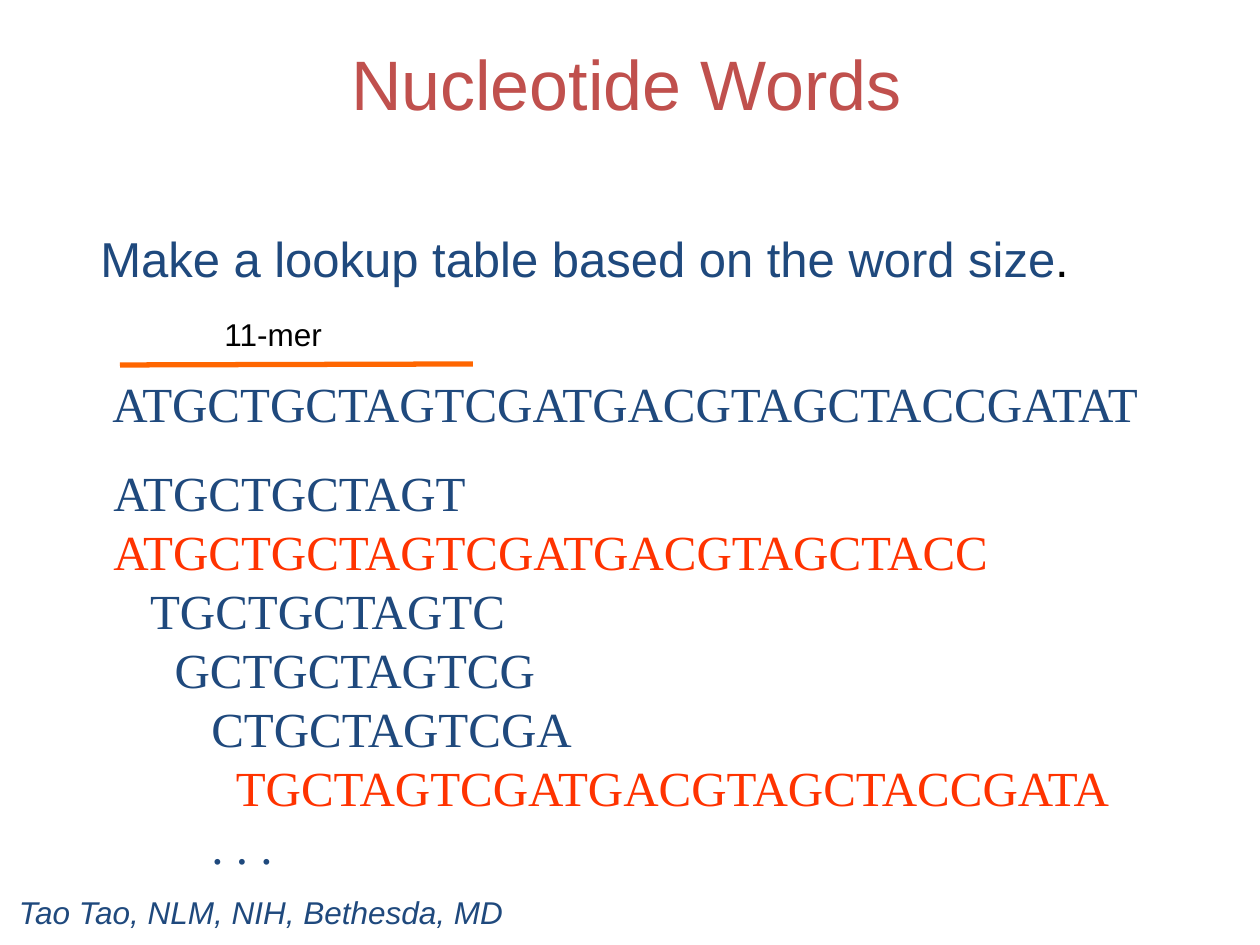
from pptx import Presentation
from pptx.dml.color import RGBColor
from pptx.enum.shapes import MSO_CONNECTOR
from pptx.enum.text import MSO_ANCHOR, PP_ALIGN
from pptx.oxml.ns import qn
from pptx.util import Pt
from lxml.etree import SubElement

PX = 914400 // 126
NAVY, RED, ORANGE, BLACK, BRICK, WHITE = (
    "1F497D", "FF3300", "FF6600", "000000", "C0504D", "FFFFFF")
SERIF = "Times New Roman"
INDENT_STEP = 12.25  # width of one character space at 28 pt

SEQUENCE = "ATGCTGCTAGTCGATGACGTAGCTACCGATAT"
# word, colour, indent in character spaces
WORDS = [
    ("ATGCTGCTAGT", NAVY, 0),
    ("ATGCTGCTAGTCGATGACGTAGCTACC", RED, 0),
    ("TGCTGCTAGTC", NAVY, 3),
    ("GCTGCTAGTCG", NAVY, 5),
    ("CTGCTAGTCGA", NAVY, 8),
    ("TGCTAGTCGATGACGTAGCTACCGATA", RED, 10),
    (". . .", NAVY, 8),
]


def emu(pixels):
    """Turn pixels into EMU."""
    return round(pixels * PX)


def color(value):
    """Turn a hex string into a colour."""
    return RGBColor.from_string(value)


def add_text(slide, box, lines, size=28, font="Arial", italic=False,
             align=PP_ALIGN.LEFT, anchor=MSO_ANCHOR.TOP, top_inset=6, fill=None):
    """Add a text box; each line is (runs, indent), each run (text, colour)."""
    textbox = slide.shapes.add_textbox(*map(emu, box))
    if fill:
        textbox.fill.solid()
        textbox.fill.fore_color.rgb = color(fill)
    frame = textbox.text_frame
    frame.word_wrap = True
    frame.vertical_anchor = anchor
    frame.margin_top = emu(top_inset)
    for number, (runs, indent) in enumerate(lines):
        paragraph = frame.add_paragraph() if number else frame.paragraphs[0]
        paragraph.alignment = align
        if indent:
            properties = paragraph._p.get_or_add_pPr()
            properties.set("marL", str(emu(indent * INDENT_STEP)))
            properties.set("indent", "0")
        for text, ink in runs:
            run = paragraph.add_run()
            run.text = text
            run.font.size, run.font.name = Pt(size), font
            run.font.italic = italic
            run.font.color.rgb = color(ink)


def add_line(slide, start, end, ink, width):
    """Add a straight line without a shadow."""
    line = slide.shapes.add_connector(
        MSO_CONNECTOR.STRAIGHT, *map(emu, start + end))
    line.line.color.rgb = color(ink)
    line.line.width = Pt(width)
    SubElement(line._element.spPr, qn("a:effectLst"))


deck = Presentation()
deck.slide_width, deck.slide_height = emu(1260), emu(945)
slide = deck.slides.add_slide(deck.slide_layouts[6])

add_text(slide, (91, 29, 1071, 116), [([("Nucleotide Words", BRICK)], 0)],
         size=40, align=PP_ALIGN.CENTER, top_inset=12, fill=WHITE)
add_text(slide, (100, 368, 1090, 72), [([(SEQUENCE, NAVY)], 0)], font=SERIF)
add_text(slide, (101, 457, 1050, 425),
         [([(word, ink)], indent) for word, ink, indent in WORDS], font=SERIF)
add_text(slide, (88, 222, 997, 72),
         [([("Make a lookup table based on the word size", NAVY),
            (".", BLACK)], 0)])
add_line(slide, (120, 365), (473, 364), ORANGE, 3)
add_text(slide, (212, 309, 159, 63), [([("11-mer", BLACK)], 0)], size=18)
add_text(slide, (0, 887, 522, 50),
         [([("Tao Tao, NLM, NIH, Bethesda, MD", NAVY)], 0)], size=18,
         italic=True, align=PP_ALIGN.CENTER, anchor=MSO_ANCHOR.MIDDLE)

deck.save("out.pptx")
